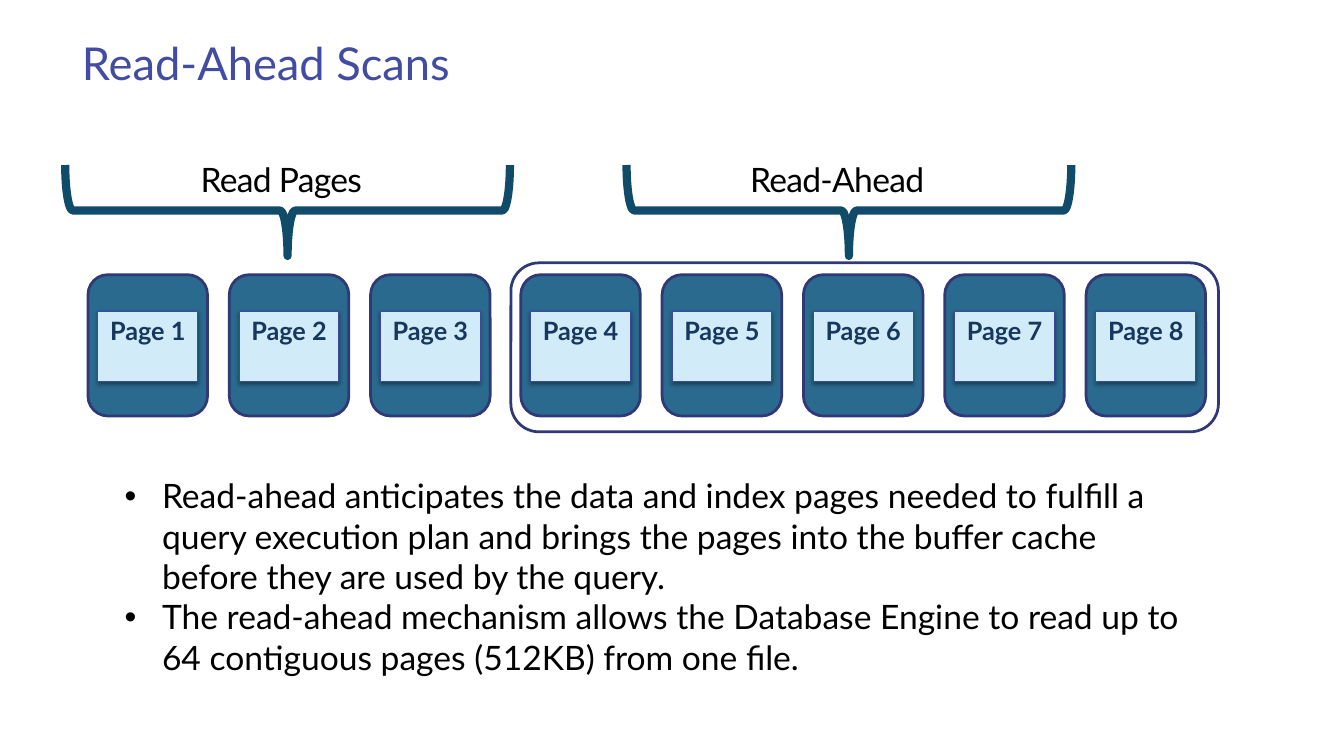
"""Build the Read-Ahead Scans slide with its row of pages."""
from lxml.etree import SubElement
from pptx import Presentation
from pptx.dml.color import RGBColor
from pptx.enum.shapes import MSO_SHAPE
from pptx.enum.text import MSO_ANCHOR, PP_ALIGN
from pptx.oxml import parse_xml
from pptx.oxml.ns import nsdecls, qn
from pptx.util import Pt

PX = 9144
C = {
    "white": "FFFFFF", "title": "424CA0", "text": "000000", "outline": "313876",
    "page": "296A8E", "label": "D1EBF8", "label_line": "3E499F",
    "label_text": "17375E", "brace": "104C6A",
}
SHADOW = (
    f'<a:effectLst {nsdecls("a")}><a:outerShdw blurRad="39370" dist="20320" '
    'dir="5400000" rotWithShape="0"><a:srgbClr val="000000"><a:alpha val="38000"/>'
    '</a:srgbClr></a:outerShdw></a:effectLst>'
)
BULLETS = [
    "Read-ahead anticipates the data and index pages needed to fulfill a query "
    "execution plan and brings the pages into the buffer cache before they are "
    "used by the query.",
    "The read-ahead mechanism allows the Database Engine to read up to 64 "
    "contiguous pages (512KB) from one file.",
]


def add_shape(kind, x, y, w, h, fill, line, width):
    sp = s.shapes.add_shape(kind, x * PX, y * PX, w * PX, h * PX)
    sp.shadow.inherit = False
    if fill:
        sp.fill.solid()
        sp.fill.fore_color.rgb = RGBColor.from_string(C[fill])
    else:
        sp.fill.background()
    sp.line.color.rgb = RGBColor.from_string(C[line])
    sp.line.width = Pt(width)
    return sp


def write(sp, texts, size, color, inset=(0, 0), bold=False, **para):
    tf = sp.text_frame
    frame = {
        "word_wrap": True, "vertical_anchor": MSO_ANCHOR.TOP,
        "margin_left": inset[0] * PX, "margin_right": inset[0] * PX,
        "margin_top": inset[1] * PX, "margin_bottom": inset[1] * PX,
    }
    for name, value in frame.items():
        setattr(tf, name, value)
    for i, text in enumerate(texts):
        p = tf.add_paragraph() if i else tf.paragraphs[0]
        for name, value in para.items():
            setattr(p, name, value)
        r = p.add_run()
        r.text = text
        for name, value in {"name": "Lato", "size": Pt(size), "bold": bold}.items():
            setattr(r.font, name, value)
        r.font.color.rgb = RGBColor.from_string(C[color])
    return tf


prs = Presentation()
prs.slide_width, prs.slide_height = 1360 * PX, 765 * PX
s = prs.slides.add_slide(prs.slide_layouts[6])

add_shape(MSO_SHAPE.ROUNDED_RECTANGLE, 517, 266, 716, 171, "white", "outline", 2)

title = s.shapes.add_textbox(73 * PX, 36 * PX, 1214 * PX, 51 * PX)
write(title, ["Read-Ahead Scans"], 33, "title", (10, 5), line_spacing=Pt(35.7))

for text, brace_x, text_x, text_w in [
    ("Read Pages", 245, 203, 248), ("Read-Ahead", 813, 759, 186),
]:
    brace = add_shape(MSO_SHAPE.RIGHT_BRACE, brace_x, -12, 92, 450, None, "brace", 6)
    brace.rotation = 90
    sp = s.shapes.add_textbox(text_x * PX, 151 * PX, text_w * PX, 51 * PX)
    sp.fill.solid()
    sp.fill.fore_color.rgb = RGBColor.from_string(C["white"])
    tf = write(sp, [text], 24.5, "text", line_spacing=Pt(36.2))
    tf.paragraphs[0].runs[0].font._element.set("spc", "-50")

for i in range(8):
    x = 89 + 143 * i + (9 if i >= 3 else 0)
    add_shape(MSO_SHAPE.ROUNDED_RECTANGLE, x, 278, 121, 143, "page", "outline", 2)
    label = add_shape(MSO_SHAPE.RECTANGLE, x + 10, 315, 101, 71,
                      "label", "label_line", 0.75)
    spPr = label._element.spPr
    spPr.replace(spPr.find(qn("a:effectLst")), parse_xml(SHADOW))
    write(label, [f"Page {i + 1}"], 18.4, "label_text", (8, 4), True,
          alignment=PP_ALIGN.CENTER)

body = s.shapes.add_textbox(109 * PX, 464 * PX, 1123 * PX, 113 * PX)
for p in write(body, BULLETS, 24.5, "text", (17, 17)).paragraphs:
    pPr = p._p.get_or_add_pPr()
    pPr.set("marL", str(38 * PX))
    pPr.set("indent", str(-38 * PX))
    SubElement(pPr, qn("a:buFont")).set("typeface", "Arial")
    SubElement(pPr, qn("a:buChar")).set("char", "•")

prs.save("out.pptx")
